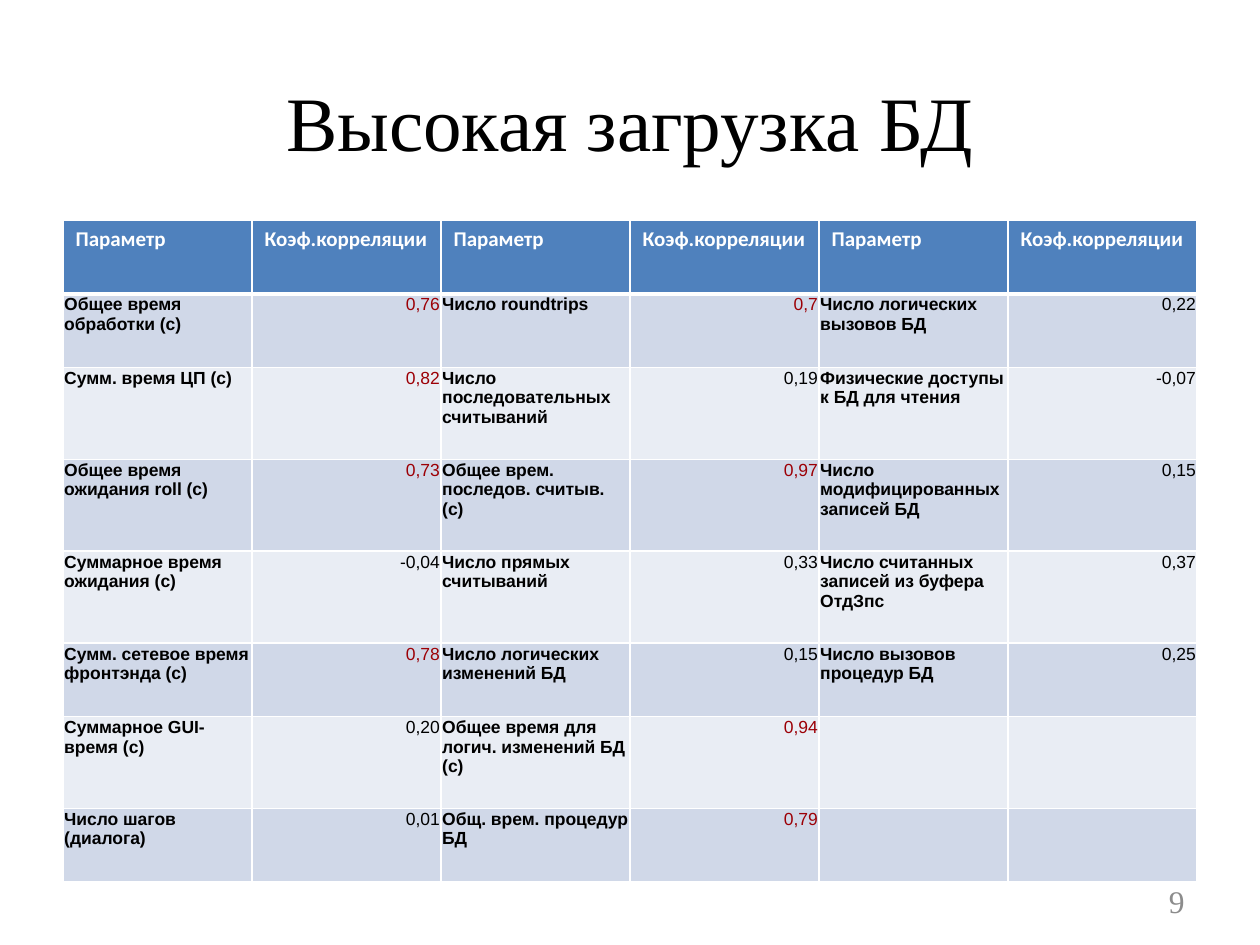
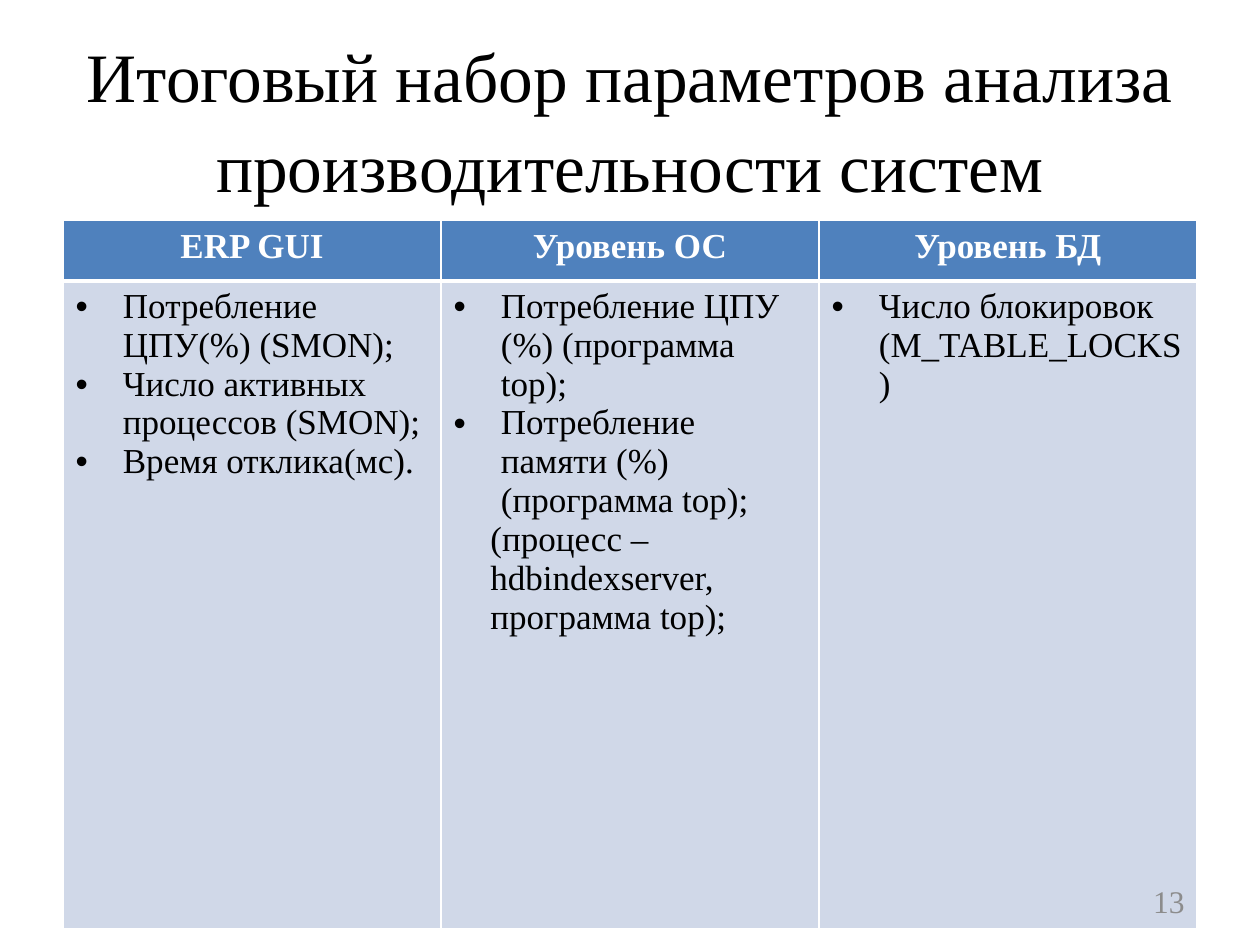
"""Two slides of tables on database load and system performance parameters."""
import pptx
import pptx.dml.color
import pptx.enum.text
import pptx.oxml
import pptx.oxml.ns
import pptx.util

Pt = pptx.util.Pt
RGBColor = pptx.dml.color.RGBColor
PP_ALIGN = pptx.enum.text.PP_ALIGN
MIDDLE = pptx.enum.text.MSO_ANCHOR.MIDDLE

BLACK = RGBColor(0x00, 0x00, 0x00)
WHITE = RGBColor(0xFF, 0xFF, 0xFF)
GRAY = RGBColor(0x8C, 0x8C, 0x8C)
RED = RGBColor(0x9C, 0x00, 0x06)
HEADER = RGBColor(0x4F, 0x81, 0xBD)
BANDS = [RGBColor(0xD0, 0xD8, 0xE8), RGBColor(0xE9, 0xED, 0xF4)]
SERIF = "Times New Roman"
LEFT, WIDTH, TABLE_TOP = 36, 648, 126
STRONG = 0.7

CORRELATIONS = [
    ["Параметр", "Коэф.корреляции"] * 3,
    ["Общее время обработки (с)", "0,76", "Число roundtrips", "0,7",
     "Число логических вызовов БД", "0,22"],
    ["Сумм. время ЦП (с)", "0,82", "Число последовательных считываний", "0,19",
     "Физические доступы к БД для чтения", "-0,07"],
    ["Общее время ожидания roll (с)", "0,73", "Общее врем. последов. считыв. (с)", "0,97",
     "Число модифицированных записей БД", "0,15"],
    ["Суммарное время ожидания (с)", "-0,04", "Число прямых считываний", "0,33",
     "Число считанных записей из буфера ОтдЗпс", "0,37"],
    ["Сумм. сетевое время фронтэнда (с)", "0,78", "Число логических изменений БД", "0,15",
     "Число вызовов процедур БД", "0,25"],
    ["Суммарное GUI-время (с)", "0,20", "Общее время для логич. изменений БД (с)", "0,94",
     "", ""],
    ["Число шагов (диалога)", "0,01", "Общ. врем. процедур БД", "0,79", "", ""],
]
LEVELS = [
    ["ERP GUI", "Уровень ОС", "Уровень БД"],
    ["Потребление ЦПУ(%) (SMON);\nЧисло активных процессов (SMON);\nВремя отклика(мс).",
     "Потребление ЦПУ (%) (программа top);\nПотребление памяти (%) (программа top);\n"
     "(процесс – hdbindexserver, программа top);",
     "Число блокировок (M_TABLE_LOCKS)"],
]
SLIDES = [
    ("Высокая загрузка БД", 44, "9", CORRELATIONS, [42, 42, 52.5, 52.5, 52.5, 42, 52.5, 42]),
    ("Итоговый набор параметров анализа производительности систем", 39.6, "13",
     LEVELS, [34.5, 370]),
]


def style(p, size, color, font=SERIF, bold=False, align=PP_ALIGN.LEFT):
    p.alignment = align
    for r in p.runs:
        r.font.size = Pt(size)
        r.font.name = font
        r.font.bold = bold
        r.font.color.rgb = color


def add_label(s, text, top, height, left, width, size, color, align):
    tf = s.shapes.add_textbox(Pt(left), Pt(top), Pt(width), Pt(height)).text_frame
    tf.word_wrap = True
    tf.vertical_anchor = MIDDLE
    tf.text = text
    style(tf.paragraphs[0], size, color, align=align)
    return tf.paragraphs[0]


prs = pptx.Presentation()
prs.slide_width, prs.slide_height = Pt(720), Pt(540)

for title, title_size, number, rows, heights in SLIDES:
    s = prs.slides.add_slide(prs.slide_layouts[6])
    p = add_label(s, title, 21.6, 90, LEFT, WIDTH, title_size, BLACK, PP_ALIGN.CENTER)
    p.line_spacing = 1.08

    columns = len(rows[0])
    table = s.shapes.add_table(len(rows), columns, Pt(LEFT), Pt(TABLE_TOP),
                               Pt(WIDTH), Pt(sum(heights))).table
    for column in table.columns:
        column.width = Pt(WIDTH / columns)
    for i, height in enumerate(heights):
        table.rows[i].height = Pt(height)
        for j, text in enumerate(rows[i]):
            cell = table.cell(i, j)
            cell.text = text
            cell.fill.solid()
            cell.fill.fore_color.rgb = HEADER if i == 0 else BANDS[(i - 1) % 2]
            tcPr = cell._tc.get_or_add_tcPr()
            for k, side in enumerate(["lnL", "lnR", "lnT", "lnB"]):
                thick = (i, side) in [(0, "lnB"), (1, "lnT")]
                tcPr.insert(k, pptx.oxml.parse_xml(
                    f'<a:{side} {pptx.oxml.ns.nsdecls("a")} w="{Pt(3 if thick else 1)}">'
                    f'<a:solidFill><a:srgbClr val="{WHITE}"/></a:solidFill></a:{side}>'))

            if rows is CORRELATIONS and i == 0:
                style(cell.text_frame.paragraphs[0], 12, WHITE, "Calibri", True)
            elif rows is CORRELATIONS and text:
                cell.margin_left = cell.margin_right = cell.margin_top = Pt(0.72)
                cell.margin_bottom = 0
                is_value = j % 2 == 1
                strong = is_value and float(text.replace(",", ".")) >= STRONG
                style(cell.text_frame.paragraphs[0], 10, RED if strong else BLACK, "Arial",
                      not is_value, PP_ALIGN.RIGHT if is_value else PP_ALIGN.LEFT)
            elif i == 0:
                style(cell.text_frame.paragraphs[0], 20, WHITE, bold=True, align=PP_ALIGN.CENTER)
            else:
                for p in cell.text_frame.paragraphs:
                    style(p, 20, BLACK)
                    pPr = p._p.get_or_add_pPr()
                    if p.text.startswith("("):
                        pPr.set("marL", str(Pt(21)))
                        continue
                    pPr.set("marL", str(Pt(27)))
                    pPr.set("indent", str(Pt(-27)))
                    for bullet in ['buFont typeface="Arial"', 'buChar char="•"']:
                        pPr.append(pptx.oxml.parse_xml(
                            f'<a:{bullet} {pptx.oxml.ns.nsdecls("a")}/>'))

    add_label(s, number, 500.5, 28.75, 516, 168, 18, GRAY, PP_ALIGN.RIGHT)

prs.save("out.pptx")
